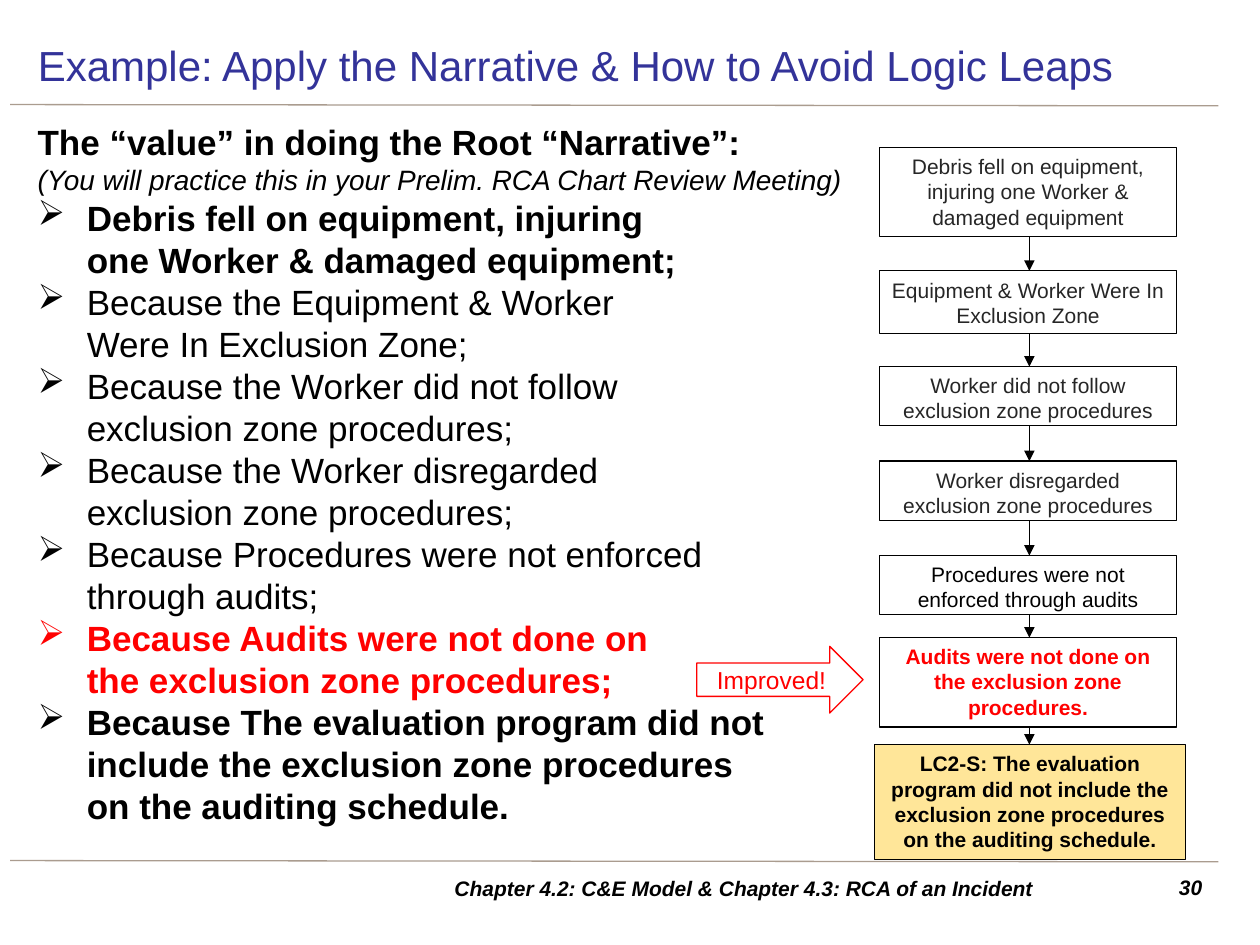
import pptx
import pptx.util
import pptx.dml.color
import pptx.enum.shapes
import pptx.enum.text
from lxml import etree

Inches, Pt = pptx.util.Inches, pptx.util.Pt
SHAPE = pptx.enum.shapes.MSO_SHAPE
ALIGN = pptx.enum.text.PP_ALIGN
ANCHOR = pptx.enum.text.MSO_ANCHOR
COLORS = {name: pptx.dml.color.RGBColor.from_string(value) for name, value in {
    "title": "333399", "rule": "AA9C8F", "black": "000000", "gray": "262626",
    "red": "FF0000", "white": "FFFFFF", "gold": "FFE699"}.items()}

deck = pptx.Presentation()
deck.slide_width, deck.slide_height = Inches(10), Inches(7.5)
slide = deck.slides.add_slide(deck.slide_layouts[5])
shapes = slide.shapes


def write(paragraph, text, size, color="black", bold=False, italic=False, align=ALIGN.LEFT):
    paragraph.text = text
    paragraph.alignment = align
    font = paragraph.font
    font.name, font.size, font.bold, font.italic = "Arial", Pt(size), bold, italic
    font.color.rgb = COLORS[color]


def draw_line(x1, y1, x2, y2, color, width, arrow=False):
    line = shapes.add_connector(pptx.enum.shapes.MSO_CONNECTOR.STRAIGHT,
                                Inches(x1), Inches(y1), Inches(x2), Inches(y2))
    line.line.color.rgb = COLORS[color]
    line.line.width = Pt(width)
    if arrow:
        tail = etree.SubElement(line.line._get_or_add_ln(), pptx.oxml.ns.qn("a:tailEnd"))
        tail.set("type", "triangle")
    etree.SubElement(line._element.spPr, pptx.oxml.ns.qn("a:effectLst"))


# Rules above and below the content
for rule_y in (0.83, 6.83):
    draw_line(0.08, rule_y, 9.67, rule_y + 0.01, "rule", 0.75)

# Title
title = shapes.title
title.left, title.top, title.width, title.height = map(Inches, (0.2, 0.24, 9.45, 0.55))
title.text_frame.vertical_anchor = ANCHOR.MIDDLE
title.text_frame.auto_size = pptx.enum.text.MSO_AUTO_SIZE.NONE
write(title.text_frame.paragraphs[0],
      "Example: Apply the Narrative & How to Avoid Logic Leaps", 24, "title")

# Narrative: text, size, color, bold, italic, bulleted
narrative = [
    ("The “value” in doing the Root “Narrative”:", 20, "black", True, False, False),
    ("(You will practice this in your Prelim. RCA Chart Review Meeting)",
     16, "black", False, True, False),
    ("Debris fell on equipment, injuring \vone Worker & damaged equipment; ",
     20, "black", True, False, True),
    ("Because the Equipment & Worker \vWere In Exclusion Zone;",
     20, "black", False, False, True),
    ("Because the Worker did not follow \vexclusion zone procedures;",
     20, "black", False, False, True),
    ("Because the Worker disregarded \vexclusion zone procedures;",
     20, "black", False, False, True),
    ("Because Procedures were not enforced \vthrough audits;",
     20, "black", False, False, True),
    ("Because Audits were not done on \vthe exclusion zone procedures;",
     20, "red", True, False, True),
    ("Because The evaluation program did not \vinclude the exclusion zone procedures "
     "\von the auditing schedule.", 20, "black", True, False, True),
]
body = shapes.add_textbox(*map(Inches, (0.2, 0.91, 9.45, 5.83))).text_frame
body.word_wrap = True
for index, (text, size, color, bold, italic, bulleted) in enumerate(narrative):
    paragraph = body.add_paragraph() if index else body.paragraphs[0]
    write(paragraph, text, size, color, bold, italic)
    if bulleted:
        properties = paragraph._p.get_or_add_pPr()
        properties.set("marL", str(Inches(0.39)))
        properties.set("indent", str(-Inches(0.39)))
        bullet = etree.Element(pptx.oxml.ns.qn("a:buChar"), char="➢")
        properties.insert_element_before(bullet, "a:tabLst", "a:defRPr", "a:extLst")

# Footer and page number
for left, width, text, align, anchor in [
        (2.95, 5.91, "Chapter 4.2: C&E Model & Chapter 4.3: RCA of an Incident",
         ALIGN.CENTER, ANCHOR.MIDDLE),
        (9.06, 0.58, "30", ALIGN.RIGHT, ANCHOR.TOP)]:
    footer = shapes.add_textbox(*map(Inches, (left, 6.89, width, 0.31))).text_frame
    footer.word_wrap = True
    footer.vertical_anchor = anchor
    write(footer.paragraphs[0], text, 12, bold=True, italic=True, align=align)

# Cause chain: top, height, text, color, bold
causes = [
    (1.17, 0.71, "Debris fell on equipment, injuring one Worker & damaged equipment", "gray", False),
    (2.15, 0.5, "Equipment & Worker Were In Exclusion Zone", "gray", False),
    (2.91, 0.47, "Worker did not follow exclusion zone procedures", "gray", False),
    (3.66, 0.47, "Worker disregarded exclusion zone procedures", "gray", False),
    (4.41, 0.47, "Procedures were not enforced through audits", "black", False),
    (5.06, 0.71, "Audits were not done on the exclusion zone procedures.", "red", True),
    (5.91, 0.91, "LC2-S: The evaluation program did not include the exclusion zone "
     "procedures on the auditing schedule.", "black", True),
]
# left, top, width, height, preset, fill, outline, text, size, color, bold, anchor
boxes = [(6.98, top, 2.36, height, SHAPE.RECTANGLE, "white", "black",
          text, 12, color, bold, ANCHOR.TOP) for top, height, text, color, bold in causes[:-1]]
top, height, text, color, bold = causes[-1]
boxes.append((6.94, top, 2.47, height, SHAPE.RECTANGLE, "gold", "black",
              text, 12, color, bold, ANCHOR.TOP))
boxes.append((5.53, 5.13, 1.32, 0.53, SHAPE.RIGHT_ARROW, "white", "red",
              "Improved!", 14, "red", False, ANCHOR.MIDDLE))
for left, top, width, height, preset, fill, outline, text, size, color, bold, anchor in boxes:
    box = shapes.add_shape(preset, *map(Inches, (left, top, width, height)))
    box.shadow.inherit = False
    box.fill.solid()
    box.fill.fore_color.rgb = COLORS[fill]
    box.line.color.rgb = COLORS[outline]
    box.line.width = Pt(0.75)
    box.text_frame.word_wrap = preset == SHAPE.RECTANGLE
    box.text_frame.vertical_anchor = anchor
    write(box.text_frame.paragraphs[0], text, size, color, bold, align=ALIGN.CENTER)

# Arrows from each cause to the next
for upper, lower in zip(causes, causes[1:]):
    draw_line(8.17, upper[0] + upper[1], 8.17, lower[0], "black", 0.5, arrow=True)

deck.save("out.pptx")
